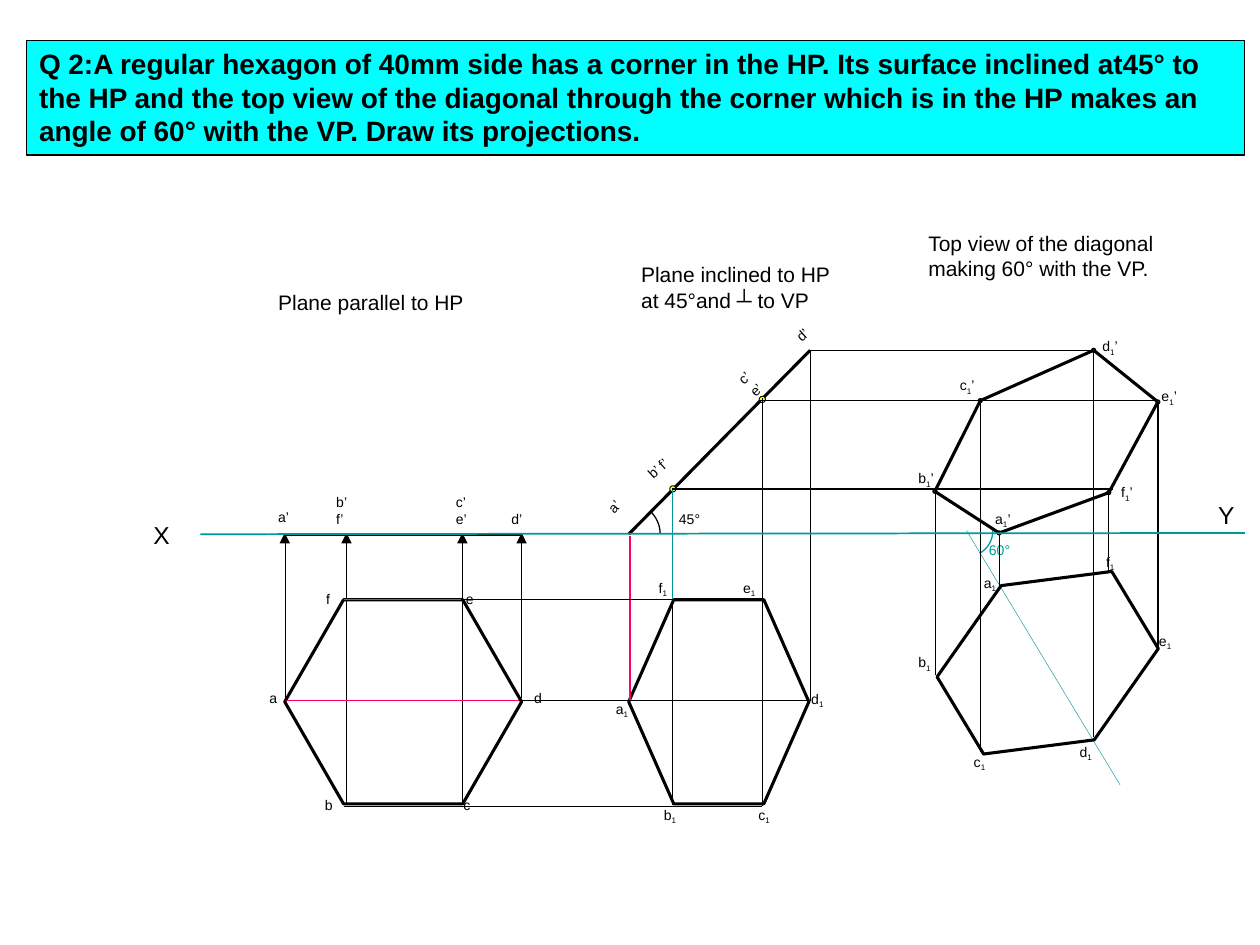
from dataclasses import dataclass
from itertools import pairwise
from typing import Any

from lxml import etree
from pptx import Presentation
from pptx.dml import color
from pptx.enum import shapes, text
from pptx.oxml import ns
from pptx.util import Inches, Pt

BLACK, WHITE, TEAL, PINK = "000000", "FFFFFF", "009999", "FF0066"
YELLOW, RED, CYAN = "FFFF00", "FF0000", "00FFFF"
THICK, THIN, HAIR = 1.75, 0.75, 0.25


def rgb(value):
    return color.RGBColor.from_string(value)


def style_font(font, size, tone=BLACK, bold=False):
    font.name, font.size, font.bold = "Arial", Pt(size), bold
    font.color.rgb = rgb(tone)


def style_shape(shape, fill, weight, tone=BLACK):
    shape.shadow.inherit = False
    if fill:
        shape.fill.solid()
        shape.fill.fore_color.rgb = rgb(fill)
    else:
        shape.fill.background()
    shape.line.color.rgb = rgb(tone)
    shape.line.width = Pt(weight)


@dataclass
class View:
    """Drawing area whose origin is its left edge on the XY line; y runs down."""
    page: Any
    left: float
    ground: float

    def at(self, x, y):
        return Inches(self.left + x), Inches(self.ground + y)

    def line(self, start, end, weight=THIN, tone=BLACK, arrow=False):
        connector = self.page.shapes.add_connector(
            shapes.MSO_CONNECTOR.STRAIGHT, *self.at(*start), *self.at(*end))
        connector.line.color.rgb = rgb(tone)
        connector.line.width = Pt(weight)
        if arrow:
            outline = connector.line._get_or_add_ln()
            etree.SubElement(outline, ns.qn("a:tailEnd"), type="triangle")
        etree.SubElement(connector._element.spPr, ns.qn("a:effectLst"))

    def shape(self, kind, x, y, width, height, fill=None, weight=THICK, tone=BLACK):
        shape = self.page.shapes.add_shape(
            kind, *self.at(x, y), Inches(width), Inches(height))
        style_shape(shape, fill, weight, tone)
        return shape

    def hexagon(self, x, y, width, inset, fill=None, turn=0):
        shape = self.shape(shapes.MSO_SHAPE.HEXAGON, x, y, width, 1.62, fill)
        shape.adjustments[0] = inset
        shape.rotation = turn

    def dot(self, x, y, size, fill, weight):
        self.shape(shapes.MSO_SHAPE.OVAL, x - size / 2, y - size / 2,
                   size, size, fill, weight)

    def angle(self, x, y, radius, start, end, tone=BLACK):
        arc = self.shape(shapes.MSO_SHAPE.ARC, x - radius, y - radius,
                         2 * radius, 2 * radius, None, THIN, tone)
        # Arc adjustments are 60000ths of a degree, scaled by 100000.
        arc.adjustments[0], arc.adjustments[1] = start * 0.6, end * 0.6

    def label(self, words, x, y, width=0.36, height=None, size=8, tone=BLACK, turn=0):
        """Text box in which a digit 1 is set as a subscript."""
        height = height or (0.37 if " " in words else 0.23)
        box = self.page.shapes.add_textbox(
            *self.at(x, y), Inches(width), Inches(height))
        box.rotation = turn
        box.text_frame.word_wrap = True
        para = box.text_frame.paragraphs[0]
        for part in filter(None, words.partition("1")):
            span = para.add_run()
            span.text = part
            style_font(span.font, size, tone)
            if part == "1":
                span._r.get_or_add_rPr().set("baseline", "-25000")

    def labels(self, entries):
        for entry in entries:
            self.label(*entry)

    def caption(self, words, x, y, width, height):
        box = self.page.shapes.add_textbox(
            *self.at(x, y), Inches(width), Inches(height))
        box.text_frame.word_wrap = True
        box.text_frame.text = words
        style_font(box.text_frame.paragraphs[0].runs[0].font, 12)


def draw_question(page, left, top, width, height):
    title = page.shapes.title
    title.left, title.top = Inches(left), Inches(top)
    title.width, title.height = Inches(width), Inches(height)
    style_shape(title, CYAN, THIN)
    frame = title.text_frame
    frame.text = ("Q 2:A regular hexagon of 40mm side has a corner in the HP. "
                  "Its surface inclined at45° to the HP and the top view of the "
                  "diagonal through the corner which is in the HP makes an angle "
                  "of 60° with the VP. Draw its projections.")
    frame.word_wrap = True
    frame.auto_size = text.MSO_AUTO_SIZE.NONE
    frame.vertical_anchor = text.MSO_ANCHOR.TOP
    para = frame.paragraphs[0]
    para.alignment = text.PP_ALIGN.LEFT
    style_font(para.runs[0].font, 16, bold=True)


def draw_parallel_view(view):
    view.hexagon(0, 0.52, 1.88, 0.288, WHITE)
    for x, bottom in ((0, 1.3), (0.49, 2.15), (1.41, 2.15), (1.88, 1.3)):
        view.line((x, bottom), (x, -0.01), HAIR, arrow=True)
    view.line((0, 0), (1.88, 0), THICK)
    view.labels([
        ("a", -0.22, 1.18), ("b", 0.22, 2.03), ("c", 1.32, 2.03),
        ("d", 1.88, 1.18), ("e", 1.34, 0.4), ("f", 0.23, 0.4),
        ("a’", -0.15, -0.25), ("b’ f’", 0.31, -0.37, 0.35),
        ("c’ e’", 1.26, -0.37, 0.29), ("d’", 1.7, -0.24)])
    view.caption("Plane parallel to HP", -0.15, -1.99, 2, 0.3)


def draw_inclined_view(view):
    view.hexagon(0, 0.52, 1.43, 0.25, WHITE)
    view.line((0, 0), (1.44, -1.46), THICK)
    for x, y in ((0.35, -0.36), (1.06, -1.07)):
        view.dot(x, y, 0.05, YELLOW, 0.5)

    view.line((0.01, 0.01), (0.01, 1.32), tone=PINK)
    view.line((0.35, 2.15), (0.35, -0.37), 0.5)
    view.line((0.35, 0.52), (0.35, -0.35), tone=TEAL)
    view.line((1.06, 2.16), (1.06, -1.08))
    view.line((1.44, 1.32), (1.44, -1.46))
    for y, start, end, tone in (
            (1.32, -2.72, 0.01, PINK), (1.32, -0.87, 1.44, BLACK),
            (0.52, -2.26, 0.35, TEAL), (0.52, -1.33, 1.06, BLACK),
            (2.16, -2.26, 1.06, BLACK)):
        view.line((start, y), (end, y), tone=tone)

    for words, x, y, width, turn in (
            ("a’", -0.26, -0.34, 0.29, 312.4), ("b’ f’", 0.09, -0.66, 0.38, 318),
            ("c’ e’", 0.81, -1.41, 0.38, 316.2), ("d’", 1.23, -1.71, 0.32, 318.4)):
        view.label(words, x, y, width, turn=turn)
    view.angle(0, 0, 0.25, 315, 0)
    view.labels([
        ("45°", 0.3, -0.24, 0.42), ("a1", -0.2, 1.27), ("b1", 0.18, 2.11),
        ("c1", 0.93, 2.11), ("d1", 1.35, 1.19), ("e1", 0.81, 0.31),
        ("f1", 0.14, 0.31)])
    view.caption("Plane inclined to HP at 45°and ┴ to VP", 0, -2.21, 1.76, 0.5)


def draw_turned_view(view):
    view.line((0.25, -0.03), (1.47, 1.99), HAIR, TEAL)
    view.angle(0.25, -0.03, 0.21, 0, 60, TEAL)
    view.label("60°", 0.33, 0.01, 0.38, tone=TEAL)
    view.hexagon(0.18, 0.21, 1.43, 0.25, turn=58.9)

    corners = [(0.51, -0.01), (0, -0.34), (0.36, -1.06),
               (1.26, -1.46), (1.77, -1.05), (1.38, -0.33)]
    bottoms = (0.43, 1.12, 1.73, 1.61, 0.9, 0.29)
    weights = (HAIR, HAIR, THIN, THIN, THIN, THIN)
    for (x, y), bottom, weight in zip(corners, bottoms, weights):
        view.line((x, bottom), (x, y), weight)
        view.dot(x, y, 0.03, RED, THIN)
    for y, start, end in ((-0.36, -2.08, 1.41), (-1.06, -1.39, 1.76),
                          (-1.46, -1, 1.26)):
        view.line((start, y), (end, y))
    for start, end in pairwise(corners + corners[:1]):
        view.line(start, end, THICK)

    view.labels([
        ("a1", 0.29, 0.27), ("b1", -0.23, 0.9), ("c1", 0.21, 1.69),
        ("d1", 1.05, 1.61), ("e1", 1.68, 0.73), ("f1", 1.26, 0.1),
        ("a1’", 0.38, -0.24), ("b1’", -0.23, -0.56), ("c1’", 0.1, -1.3),
        ("d1’", 1.23, -1.61), ("e1’", 1.7, -1.21), ("f1’", 1.38, -0.45)])
    view.caption("Top view of the diagonal making 60° with the VP.",
                 -0.15, -2.46, 2.3, 0.5)


def draw_ground_line(view, length):
    view.line((0, 0), (length, -0.01), 1, TEAL)
    view.label("X", -0.47, -0.16, 0.46, 0.33, 14)
    view.label("Y", length - 0.31, -0.32, 0.34, 0.33, 14)


def main():
    deck = Presentation()
    deck.slide_width, deck.slide_height = Inches(10), Inches(7.5)
    page = deck.slides.add_slide(deck.slide_layouts.get_by_name("Title Only"))
    ground = 4.24
    draw_question(page, 0.21, 0.32, 9.67, 0.91)
    draw_parallel_view(View(page, 2.26, ground))
    draw_inclined_view(View(page, 4.99, ground))
    draw_turned_view(View(page, 7.42, ground))
    draw_ground_line(View(page, 1.59, ground), 8.29)
    deck.save("out.pptx")


if __name__ == "__main__":
    main()
